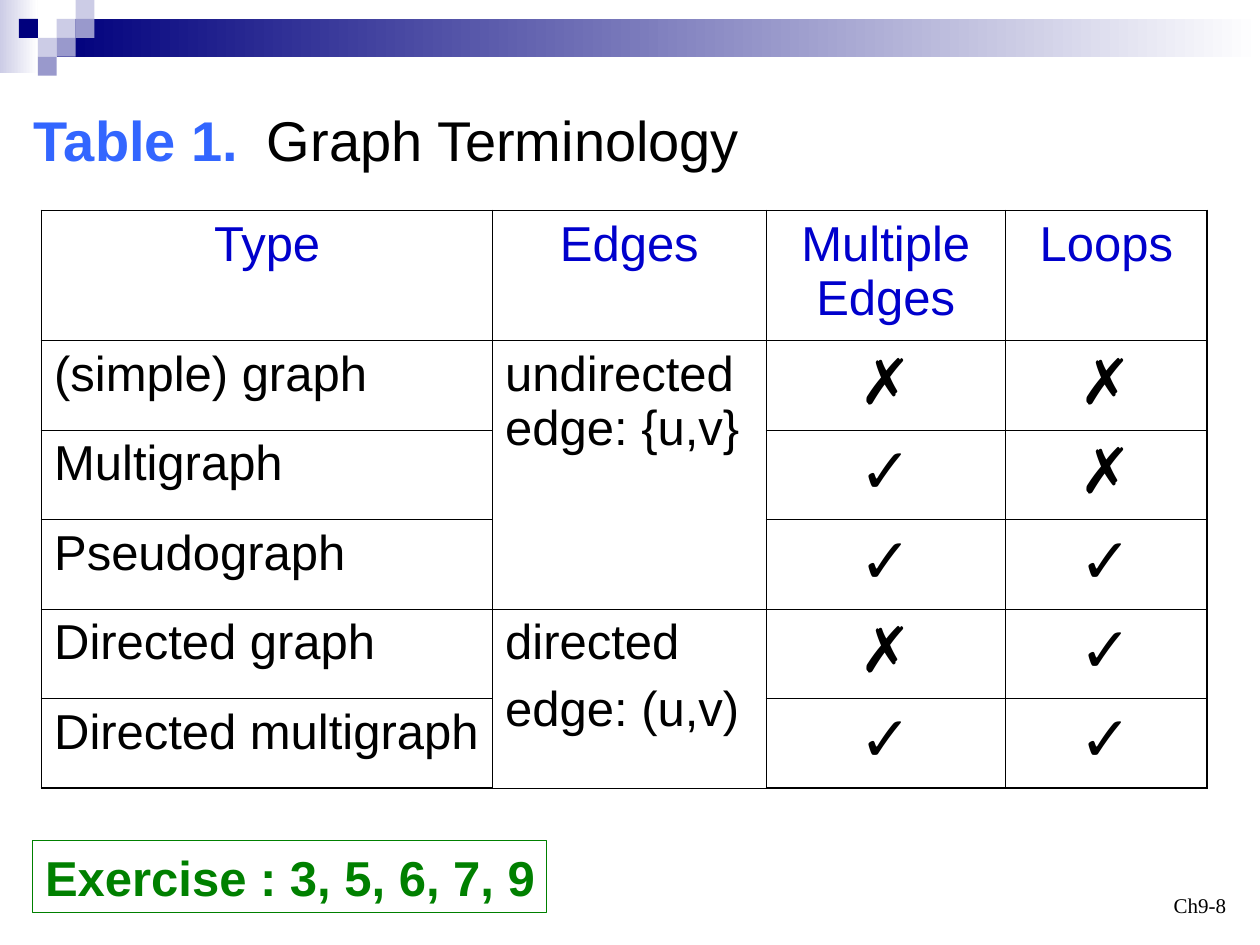
from lxml.etree import SubElement
from pptx import Presentation
from pptx.dml.color import RGBColor as Rgb
from pptx.enum.shapes import MSO_SHAPE as Shape
from pptx.enum.text import MSO_ANCHOR as Anchor, PP_ALIGN as Align
from pptx.oxml import parse_xml
from pptx.oxml.ns import nsdecls, qn
from pptx.util import Inches, Pt

COLORS = {
    "navy": "00007D", "lavender": "CCCCE6", "violet": "9999CC", "white": "FFFFFF",
    "black": "000000", "label": "3366FF", "header": "0000CC", "exercise": "008000",
}
WIDTH, HEIGHT = 10, 7.5
UNIT = 0.15
COLUMN_WIDTHS = [3.58, 2.17, 1.9, 1.6]
ROW_HEIGHTS = [1.03] + [0.71] * 5
ROWS = [
    ["Type", "Edges", "Multiple Edges", "Loops"],
    ["(simple) graph", "undirected\vedge: {u,v}", "✗", "✗"],
    ["Multigraph", "", "✓", "✗"],
    ["Pseudograph", "", "✓", "✓"],
    ["Directed graph", "directed\nedge: (u,v)", "✗", "✓"],
    ["Directed multigraph", "", "✓", "✓"],
]
EDGE_GROUPS = [(1, 3), (4, 5)]
OUTER_LINE, INNER_LINE = 1.08, 0.45


def color(name):
    return Rgb.from_string(COLORS[name])


def inches(box):
    return [Inches(value) for value in box]


def format_run(run, size, color_name, bold=False, font_name="Arial"):
    run.font.size = Pt(size)
    run.font.name = font_name
    run.font.bold = bold
    run.font.color.rgb = color(color_name)


def add_rectangle(slide, box, *fill_names):
    shape = slide.shapes.add_shape(Shape.RECTANGLE, *inches(box))
    shape.shadow.inherit = False
    shape.line.fill.background()
    if len(fill_names) == 2:
        shape.fill.gradient()
        shape.fill.gradient_angle = 0
        for stop, name in zip(shape.fill.gradient_stops, fill_names):
            stop.color.rgb = color(name)
    elif fill_names:
        shape.fill.solid()
        shape.fill.fore_color.rgb = color(fill_names[0])
    else:
        shape.fill.background()
    return shape


def add_banner(slide, box):
    left, top, width, height = box
    add_rectangle(slide, (left, top, 2 * UNIT, height), "lavender", "white")
    add_rectangle(slide, (left + 3 * UNIT, top + UNIT, width - 3 * UNIT, 2 * UNIT),
                  "navy", "white")
    squares = [
        (3, 1, "lavender"), (4, 0, "lavender"), (4, 1, "violet"), (2, 2, "lavender"),
        (1, 1, "navy"), (3, 2, "violet"), (2, 3, "violet"),
    ]
    for column, row, name in squares:
        add_rectangle(slide, (left + column * UNIT, top + row * UNIT, UNIT, UNIT), name)


def add_title(slide, box):
    text_frame = slide.shapes.add_textbox(*inches(box)).text_frame
    text_frame.word_wrap = True
    text_frame.margin_top = Inches(0.09)
    paragraph = text_frame.paragraphs[0]
    tabs = SubElement(paragraph._p.get_or_add_pPr(), qn("a:tabLst"))
    SubElement(tabs, qn("a:tab"), pos=str(Inches(1.85)), algn="l")
    for text, name, bold in [("Table 1.", "label", True),
                             ("\tGraph Terminology", "black", False)]:
        run = paragraph.add_run()
        run.text = text
        format_run(run, 32, name, bold)


def set_borders(cell, widths):
    properties = cell._tc.get_or_add_tcPr()
    for index, (side, width) in enumerate(zip("LRTB", widths)):
        properties.insert(index, parse_xml(
            f'<a:ln{side} {nsdecls("a")} w="{Pt(width)}"><a:solidFill>'
            f'<a:srgbClr val="{COLORS["black"]}"/></a:solidFill></a:ln{side}>'))


def fill_cell(cell, text, row, column):
    is_header = row == 0
    is_mark = not is_header and column >= 2
    cell.text_frame.text = text
    for index, paragraph in enumerate(cell.text_frame.paragraphs):
        paragraph.alignment = Align.CENTER if is_header or is_mark else Align.LEFT
        if index:
            paragraph.space_before = Pt(7)
        for run in paragraph.runs:
            format_run(run, 36 if is_mark else 28, "header" if is_header else "black")
    cell.fill.background()
    at_border = (column == 0, column == len(COLUMN_WIDTHS) - 1,
                 row == 0, row == len(ROW_HEIGHTS) - 1)
    set_borders(cell, [OUTER_LINE if outer else INNER_LINE for outer in at_border])


def add_terminology_table(slide, box):
    frame = slide.shapes.add_table(len(ROW_HEIGHTS), len(COLUMN_WIDTHS), *inches(box))
    table = frame.table
    table.first_row = table.horz_banding = False
    for column, width in zip(table.columns, COLUMN_WIDTHS):
        column.width = Inches(width)
    for row, height in zip(table.rows, ROW_HEIGHTS):
        row.height = Inches(height)
    for row, texts in enumerate(ROWS):
        for column, text in enumerate(texts):
            fill_cell(table.cell(row, column), text, row, column)
    for first, last in EDGE_GROUPS:
        table.cell(first, 1).merge(table.cell(last, 1))


def add_exercise(slide, box):
    shape = add_rectangle(slide, box)
    shape.line.color.rgb = color("exercise")
    shape.line.width = Pt(0.75)
    text_frame = shape.text_frame
    text_frame.word_wrap = False
    text_frame.vertical_anchor = Anchor.BOTTOM
    text_frame.text = "Exercise : 3, 5, 6, 7, 9"
    paragraph = text_frame.paragraphs[0]
    paragraph.alignment = Align.LEFT
    format_run(paragraph.runs[0], 28, "exercise", True)


def add_page_number(slide, box):
    text_frame = slide.shapes.add_textbox(*inches(box)).text_frame
    text_frame.word_wrap = True
    text_frame.vertical_anchor = Anchor.BOTTOM
    text_frame.text = "Ch9-8"
    paragraph = text_frame.paragraphs[0]
    paragraph.alignment = Align.RIGHT
    format_run(paragraph.runs[0], 12, "black", font_name="Times New Roman")


def main():
    presentation = Presentation()
    presentation.slide_width, presentation.slide_height = inches((WIDTH, HEIGHT))
    slide = presentation.slides.add_slide(presentation.slide_layouts[6])
    slide.background.fill.solid()
    slide.background.fill.fore_color.rgb = color("white")
    add_banner(slide, (0, 0, WIDTH, 0.58))
    add_page_number(slide, (0.75 * WIDTH, 6.83, 2.33, 0.5))
    add_title(slide, (0.17, 0.1 * HEIGHT, 9.58, 0.1 * HEIGHT))
    add_terminology_table(slide, (0.33, 1.67, sum(COLUMN_WIDTHS), sum(ROW_HEIGHTS)))
    add_exercise(slide, (0.26, 6.67, 4.08, 0.57))
    presentation.save("out.pptx")


if __name__ == "__main__":
    main()
